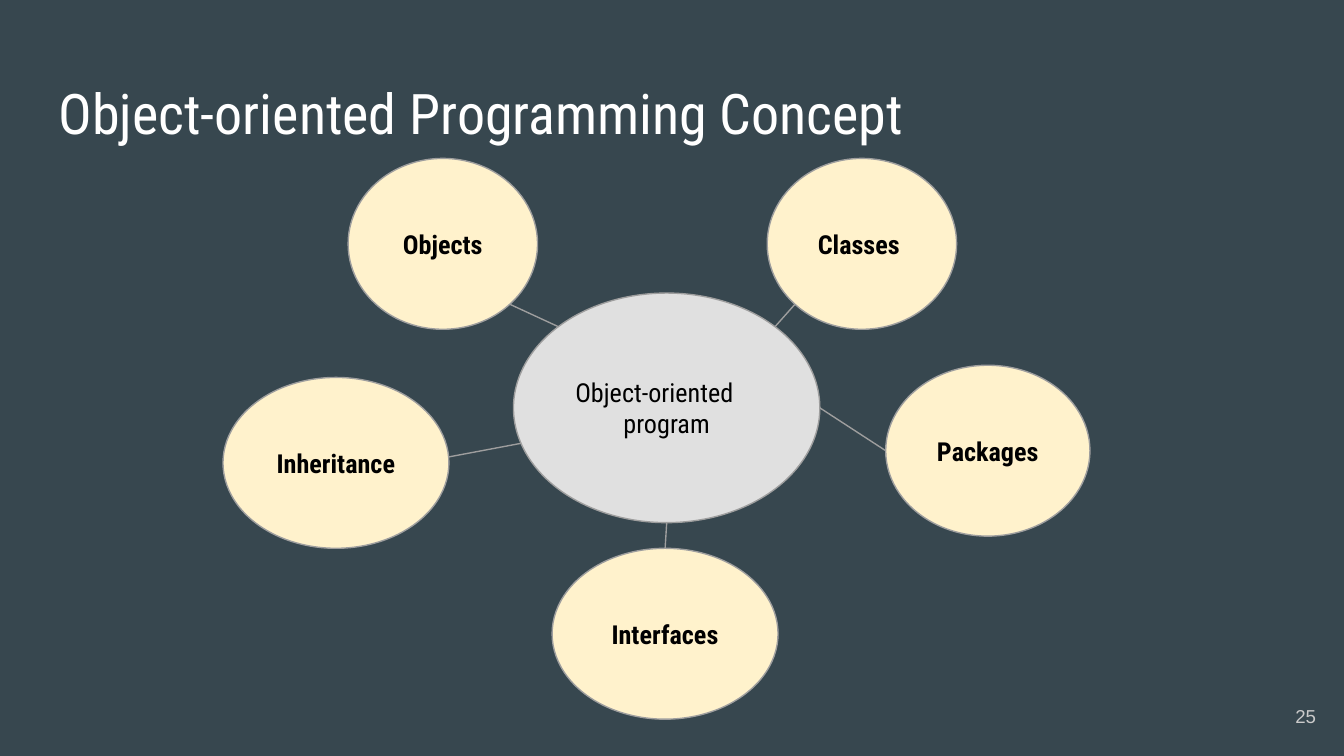
from dataclasses import dataclass
from math import cos, radians, sin

from lxml import etree
from pptx import Presentation
from pptx.dml.color import RGBColor
from pptx.enum import shapes, text
from pptx.oxml import ns
from pptx.util import Cm, Pt


@dataclass(frozen=True)
class Theme:
    background: str = "37474F"
    hub: str = "E0E0E0"
    concept: str = "FFF2CC"
    outline: str = "9E9E9E"
    heading: str = "FFFFFF"
    label: str = "000000"
    number: str = "CACACA"
    font: str = "Roboto Condensed"
    number_font: str = "Arial"
    heading_size: int = 30
    label_size: int = 14
    number_size: int = 10
    outline_width: float = 0.75
    inset: float = 0.25


THEME = Theme()
HEADING = "Object-oriented Programming Concept"
PAGE = "25"
HUB_LINES = ["Object-oriented", "program"]
HUB_CENTRE, HUB_SIZE = (12.6, 7.71), (5.79, 4.34)
HUB_STAGGER = 0.46
CONCEPT_HEIGHT = 3.23

# label, centre, width, angle leaving the concept, angle reaching the hub
CONCEPTS = [
    ("Objects", (8.37, 4.61), 3.58, 45, 225),
    ("Inheritance", (6.35, 8.75), 4.27, -4, 162),
    ("Classes ", (16.29, 4.61), 3.58, 135, 315),
    ("Packages", (18.67, 8.52), 3.86, 180, 0),
    ("Interfaces", (12.57, 11.98), 4.27, 270, 90),
]


def write(shape, lines, size, color, font=THEME.font, bold=False,
          align=text.PP_ALIGN.CENTER, anchor=text.MSO_ANCHOR.MIDDLE):
    frame = shape.text_frame
    frame.word_wrap = True
    frame.vertical_anchor = anchor
    frame.margin_left = frame.margin_right = Cm(THEME.inset)
    frame.margin_top = frame.margin_bottom = Cm(THEME.inset)
    frame.text = "\n".join(lines)
    for line in frame.paragraphs:
        line.alignment = align
        line.font.name = font
        line.font.size = Pt(size)
        line.font.bold = bold
        line.font.color.rgb = RGBColor.from_string(color)


def outline(shape):
    shape.line.color.rgb = RGBColor.from_string(THEME.outline)
    shape.line.width = Pt(THEME.outline_width)


def add_oval(slide, centre, size, fill):
    left, top = (c - s / 2 for c, s in zip(centre, size))
    oval = slide.shapes.add_shape(
        shapes.MSO_SHAPE.FLOWCHART_CONNECTOR,
        Cm(left), Cm(top), Cm(size[0]), Cm(size[1]))
    oval.shadow.inherit = False
    oval.fill.solid()
    oval.fill.fore_color.rgb = RGBColor.from_string(fill)
    outline(oval)
    return oval


def rim(centre, size, angle):
    turn = radians(angle)
    return (Cm(centre[0] + size[0] / 2 * cos(turn)),
            Cm(centre[1] + size[1] / 2 * sin(turn)))


def add_link(slide, start, end):
    link = slide.shapes.add_connector(
        shapes.MSO_CONNECTOR.STRAIGHT, *start, *end)
    outline(link)
    etree.SubElement(link._element.spPr, ns.qn("a:effectLst"))


def main():
    deck = Presentation()
    deck.slide_width, deck.slide_height = Cm(25.4), Cm(14.29)
    slide = deck.slides.add_slide(deck.slide_layouts[6])
    slide.background.fill.solid()
    slide.background.fill.fore_color.rgb = RGBColor.from_string(THEME.background)

    heading = slide.shapes.add_textbox(Cm(0.86), Cm(1.24), Cm(23.67), Cm(1.6))
    write(heading, [HEADING], THEME.heading_size, THEME.heading,
          align=text.PP_ALIGN.LEFT, anchor=text.MSO_ANCHOR.TOP)

    hub = add_oval(slide, HUB_CENTRE, HUB_SIZE, THEME.hub)
    write(hub, HUB_LINES, THEME.label_size, THEME.label)
    hub.text_frame.margin_right = Cm(THEME.inset + HUB_STAGGER)
    second_line = hub.text_frame.paragraphs[1]
    second_line._p.get_or_add_pPr().set("marL", str(Cm(HUB_STAGGER)))

    for label, centre, width, leaving, reaching in CONCEPTS:
        size = (width, CONCEPT_HEIGHT)
        concept = add_oval(slide, centre, size, THEME.concept)
        write(concept, [label], THEME.label_size, THEME.label, bold=True)
        add_link(slide, rim(centre, size, leaving),
                 rim(HUB_CENTRE, HUB_SIZE, reaching))

    number = slide.shapes.add_textbox(Cm(23.6), Cm(13), Cm(1.52), Cm(1.09))
    write(number, [PAGE], THEME.number_size, THEME.number,
          font=THEME.number_font, align=text.PP_ALIGN.RIGHT)

    deck.save("out.pptx")


if __name__ == "__main__":
    main()
